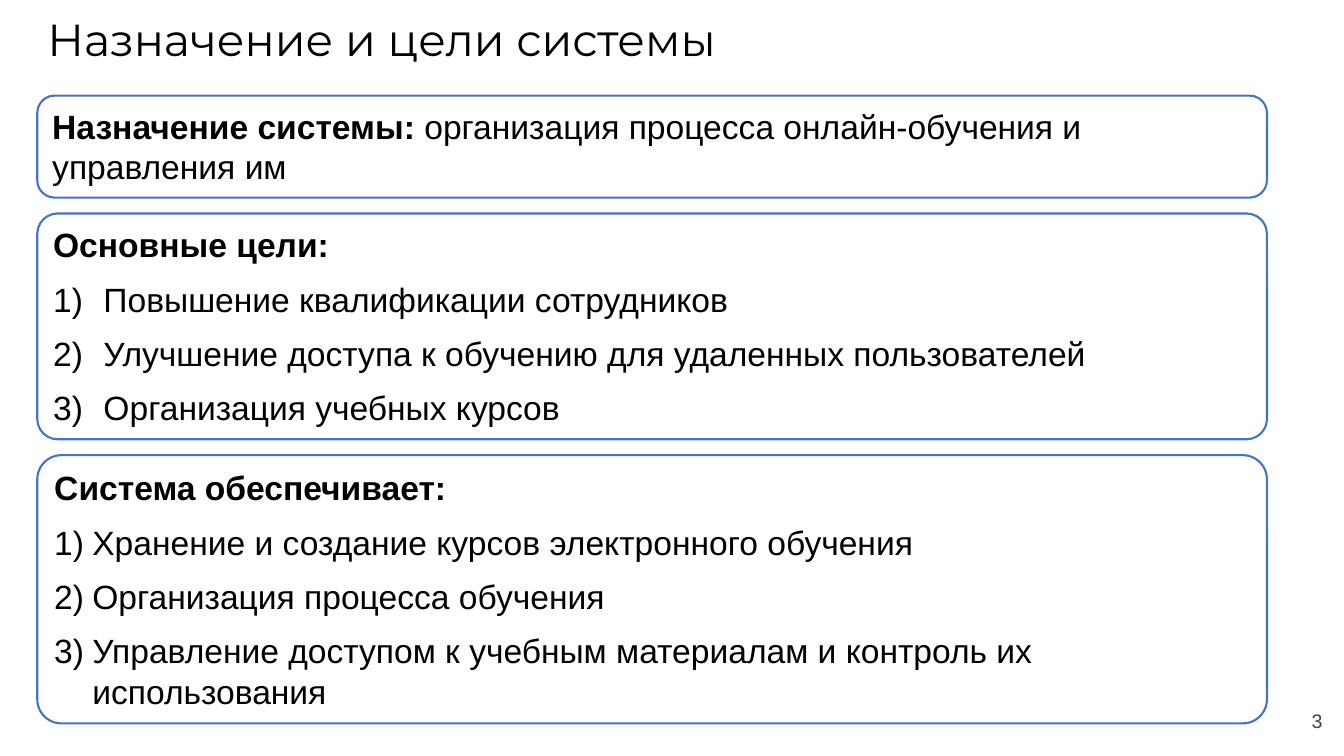
"""Build a slide that states the purpose and goals of an online learning system."""
from dataclasses import dataclass
from typing import Any

from lxml import etree
from pptx import Presentation
from pptx.dml.color import RGBColor
from pptx.enum.shapes import MSO_SHAPE
from pptx.enum.text import MSO_ANCHOR, PP_ALIGN
from pptx.oxml.ns import qn
from pptx.util import Cm, Pt

ROUNDED = MSO_SHAPE.ROUNDED_RECTANGLE
TOP, MIDDLE = MSO_ANCHOR.TOP, MSO_ANCHOR.MIDDLE
LEFT, RIGHT = PP_ALIGN.LEFT, PP_ALIGN.RIGHT
TITLE_ONLY = 5


@dataclass(frozen=True)
class Theme:
    """Colours, fonts and type sizes of the slide."""
    ink: RGBColor = RGBColor(0x00, 0x00, 0x00)
    muted: RGBColor = RGBColor(0x40, 0x40, 0x40)
    paper: RGBColor = RGBColor(0xFF, 0xFF, 0xFF)
    outline: RGBColor = RGBColor(0x44, 0x72, 0xC4)
    heading_font: str = "Montserrat"
    body_font: str = "Arial"
    title_size: Pt = Pt(32)
    body_size: Pt = Pt(24)
    number_size: Pt = Pt(14)
    line_pitch: Pt = Pt(28.8)
    item_gap: Pt = Pt(10)
    outline_width: Pt = Pt(1.5)


@dataclass(frozen=True)
class Panel:
    """A rounded panel with a bold lead, running text and numbered items."""
    height: float
    corner: float
    lead: str
    text: str = ""
    items: tuple[str, ...] = ()
    indent: float = 0


THEME = Theme()
MARGIN, PANEL_WIDTH = 0.94, 30.99
FIRST_TOP, PANEL_GAP = 2.41, 0.4
PANELS = (
    Panel(2.57, 0.17, "Назначение системы: ",
          text="организация процесса онлайн-обучения и управления им"),
    Panel(5.69, 0.09, "Основные цели:", indent=1.27, items=(
        "Повышение квалификации сотрудников",
        "Улучшение доступа к обучению для удаленных пользователей",
        "Организация учебных курсов")),
    Panel(6.76, 0.09, "Система обеспечивает:", indent=0.96, items=(
        "Хранение и создание курсов электронного обучения",
        "Организация процесса обучения",
        "Управление доступом к учебным материалам и контроль их использования")),
)


def apply(target: Any, values: dict[str, Any]) -> None:
    """Set each named attribute on the target."""
    for name, value in values.items():
        setattr(target, name, value)


def add_span(para: Any, text: str, size: Pt, font: str, color: RGBColor,
             bold: bool = False) -> None:
    """Add a formatted run to a paragraph."""
    span = para.add_run()
    span.text = text
    apply(span.font, {"size": size, "name": font, "bold": bold})
    span.font.color.rgb = color


def add_body(para: Any, text: str, bold: bool = False) -> None:
    """Add a run in the body style."""
    add_span(para, text, THEME.body_size, THEME.body_font, THEME.ink, bold)


def number_item(para: Any, indent: float) -> None:
    """Give a paragraph a hanging automatic number."""
    properties = para._p.get_or_add_pPr()
    properties.set("marL", str(Cm(indent)))
    properties.set("indent", str(-Cm(indent)))
    etree.SubElement(properties, qn("a:buFont"), typeface=THEME.body_font)
    etree.SubElement(properties, qn("a:buAutoNum"), type="arabicParenR")


def draw_title(page: Any, text: str) -> None:
    """Place and format the title placeholder."""
    box = page.shapes.title
    apply(box, {"left": Cm(MARGIN), "top": Cm(0.03), "width": Cm(32), "height": Cm(2.08)})
    apply(box.text_frame, {"vertical_anchor": MIDDLE, "word_wrap": True})
    para = box.text_frame.paragraphs[0]
    apply(para, {"alignment": LEFT, "line_spacing": 0.9})
    add_span(para, text, THEME.title_size, THEME.heading_font, THEME.ink)


def draw_panel(page: Any, panel: Panel, top: float) -> None:
    """Draw one panel with its text."""
    box = page.shapes.add_shape(ROUNDED, Cm(MARGIN), Cm(top), Cm(PANEL_WIDTH), Cm(panel.height))
    box.adjustments[0] = panel.corner
    box.shadow.inherit = False
    box.fill.solid()
    box.fill.fore_color.rgb = THEME.paper
    box.line.color.rgb = THEME.outline
    box.line.width = THEME.outline_width
    frame = box.text_frame
    apply(frame, {"vertical_anchor": TOP, "word_wrap": True})
    lead = frame.paragraphs[0]
    apply(lead, {"alignment": LEFT, "line_spacing": THEME.line_pitch})
    add_body(lead, panel.lead, bold=True)
    if panel.text:
        add_body(lead, panel.text)
    for item in panel.items:
        para = frame.add_paragraph()
        apply(para, {"alignment": LEFT, "line_spacing": THEME.line_pitch,
                     "space_before": THEME.item_gap})
        number_item(para, panel.indent)
        add_body(para, item)


def draw_page_number(page: Any, number: str) -> None:
    """Put the page number in the lower right corner."""
    box = page.shapes.add_textbox(Cm(32.28), Cm(17.65), Cm(1.3), Cm(1.02))
    apply(box.text_frame, {"vertical_anchor": MIDDLE, "word_wrap": True})
    para = box.text_frame.paragraphs[0]
    para.alignment = RIGHT
    add_span(para, number, THEME.number_size, THEME.body_font, THEME.muted)


def main() -> None:
    """Build the deck and save it."""
    deck = Presentation()
    apply(deck, {"slide_width": Cm(33.87), "slide_height": Cm(19.05)})
    page = deck.slides.add_slide(deck.slide_layouts[TITLE_ONLY])
    draw_title(page, "Назначение и цели системы")
    top = FIRST_TOP
    for panel in PANELS:
        draw_panel(page, panel, top)
        top += panel.height + PANEL_GAP
    draw_page_number(page, "3")
    deck.save("out.pptx")


if __name__ == "__main__":
    main()
